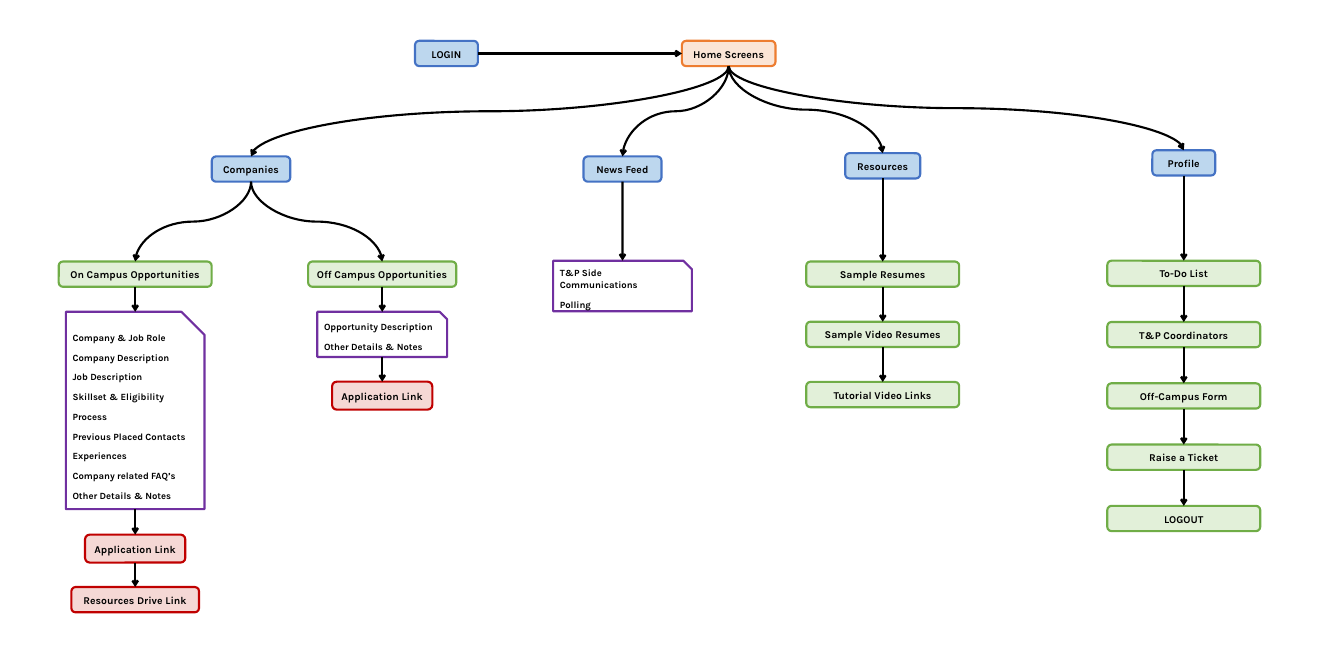
from dataclasses import dataclass

import pptx
import pptx.dml.color
import pptx.enum.shapes
import pptx.enum.text
import pptx.oxml
import pptx.oxml.ns
import pptx.util

Cm = pptx.util.Cm
Pt = pptx.util.Pt
RGBColor = pptx.dml.color.RGBColor
Preset = pptx.enum.shapes.MSO_SHAPE
ConnectorType = pptx.enum.shapes.MSO_CONNECTOR
Align = pptx.enum.text.PP_ALIGN

BLACK = RGBColor(0x00, 0x00, 0x00)
WHITE = RGBColor(0xFF, 0xFF, 0xFF)
BLUE = RGBColor(0x44, 0x72, 0xC4)
PALE_BLUE = RGBColor(0xBD, 0xD7, 0xEE)
ORANGE = RGBColor(0xED, 0x7D, 0x31)
PALE_ORANGE = RGBColor(0xFB, 0xE5, 0xD6)
GREEN = RGBColor(0x70, 0xAD, 0x47)
PALE_GREEN = RGBColor(0xE2, 0xF0, 0xD9)
RED = RGBColor(0xC0, 0x00, 0x00)
PALE_RED = RGBColor(0xF5, 0xD8, 0xD5)
PURPLE = RGBColor(0x70, 0x30, 0xA0)

FONT = "Karla"
LINE_WIDTH = Pt(2.25)
ROW_HEIGHT = 0.94
LIST_WIDTH = 5.69
TOP, LEFT, BOTTOM, RIGHT = range(4)


@dataclass(frozen=True)
class Style:
    fill: RGBColor
    outline: RGBColor
    preset: int = Preset.ROUNDED_RECTANGLE
    size: int = 11
    align: int = Align.CENTER


SCREEN = Style(PALE_BLUE, BLUE)
HOME = Style(PALE_ORANGE, ORANGE)
OPTION = Style(PALE_GREEN, GREEN)
LINK = Style(PALE_RED, RED)
DETAILS = Style(WHITE, PURPLE, Preset.SNIP_1_RECTANGLE, 10, Align.LEFT)


@dataclass(frozen=True)
class Node:
    text: str
    style: Style
    center: float
    top: float
    width: float
    height: float = ROW_HEIGHT


def write_text(frame, text: str, *, size: int, align: int, color: RGBColor = BLACK) -> None:
    frame.word_wrap = True
    frame.vertical_anchor = pptx.enum.text.MSO_ANCHOR.MIDDLE
    frame.text = text
    for paragraph in frame.paragraphs:
        paragraph.alignment = align
        paragraph.line_spacing = 1.07
        paragraph.space_after = Pt(8)
        font = paragraph.runs[0].font
        font.name, font.size, font.bold = FONT, Pt(size), True
        font.color.rgb = color


def draw_node(slide, node: Node):
    style = node.style
    box = slide.shapes.add_shape(
        style.preset, Cm(node.center - node.width / 2), Cm(node.top),
        Cm(node.width), Cm(node.height))
    box.shadow.inherit = False
    box.fill.solid()
    box.fill.fore_color.rgb = style.fill
    box.line.color.rgb = style.outline
    box.line.width = LINE_WIDTH
    write_text(box.text_frame, node.text, size=style.size, align=style.align)
    return box


def link(slide, source, target, kind: int, exit_site: int = BOTTOM, entry_site: int = TOP):
    arrow = slide.shapes.add_connector(kind, 0, 0, 0, 0)
    arrow.begin_connect(source, exit_site)
    arrow.end_connect(target, entry_site)
    arrow.line.color.rgb = BLACK
    arrow.line.width = LINE_WIDTH
    pptx.oxml.ns.qn("a:tailEnd")
    namespace = pptx.oxml.ns.nsdecls("a")
    arrow.line._get_or_add_ln().append(
        pptx.oxml.parse_xml(f'<a:tailEnd {namespace} type="arrow"/>'))
    arrow._element.spPr.append(pptx.oxml.parse_xml(f"<a:effectLst {namespace}/>"))
    return arrow


def branch(slide, parent, child) -> None:
    arrow = link(slide, parent, child, ConnectorType.CURVE)
    start_x, start_y = parent.left + parent.width // 2, parent.top + parent.height
    end_x, end_y = child.left + child.width // 2, child.top
    drop, spread = end_y - start_y, abs(end_x - start_x)
    arrow.left = (start_x + end_x - drop) // 2
    arrow.top = (start_y + end_y - spread) // 2
    arrow.width, arrow.height = drop, spread
    goes_right = end_x > start_x
    frame = arrow._element.spPr.find(pptx.oxml.ns.qn("a:xfrm"))
    frame.set("rot", str((270 if goes_right else 90) * 60000))
    frame.set("flipH", "1" if goes_right else "0")
    frame.set("flipV", "0")


def draw_chain(slide, nodes: list[Node]) -> list:
    boxes = [draw_node(slide, node) for node in nodes]
    for upper, lower in zip(boxes, boxes[1:]):
        link(slide, upper, lower, ConnectorType.STRAIGHT)
    return boxes


def option_list(labels: list[str], center: float, top: float, step: float) -> list[Node]:
    return [Node(label, OPTION, center, top + row * step, LIST_WIDTH)
            for row, label in enumerate(labels)]


COMPANY_DETAILS = "\n".join([
    "Company & Job Role", "Company Description", "Job Description",
    "Skillset & Eligibility", "Process", "Previous Placed Contacts",
    "Experiences", "Company related FAQ’s", "Other Details & Notes"])

ON_CAMPUS_X, OFF_CAMPUS_X, NEWS_X, RESOURCES_X, PROFILE_X = 5.03, 14.22, 23.16, 32.84, 44.04

ON_CAMPUS = [
    Node("On Campus Opportunities", OPTION, ON_CAMPUS_X, 9.73, LIST_WIDTH),
    Node(COMPANY_DETAILS, DETAILS, ON_CAMPUS_X, 11.6, 5.16, 7.34),
    Node("Application Link", LINK, ON_CAMPUS_X, 19.89, 3.73, 1.04),
    Node("Resources Drive Link", LINK, ON_CAMPUS_X, 21.84, 4.75),
]
OFF_CAMPUS = [
    Node("Off Campus Opportunities", OPTION, OFF_CAMPUS_X, 9.73, 5.51),
    Node("Opportunity Description\nOther Details & Notes", DETAILS,
         OFF_CAMPUS_X, 11.6, 4.83, 1.68),
    Node("Application Link", LINK, OFF_CAMPUS_X, 14.2, 3.73, 1.04),
]
NEWS_FEED = [
    Node("News Feed", SCREEN, NEWS_X, 5.82, 2.9),
    Node("T&P Side Communications\nPolling", DETAILS, NEWS_X, 9.7, 5.16, 1.88),
]
RESOURCES = [
    Node("Resources", SCREEN, RESOURCES_X, 5.7, 2.79),
    *option_list(["Sample Resumes", "Sample Video Resumes", "Tutorial Video Links"],
                 RESOURCES_X, 9.73, 2.24),
]
PROFILE = [
    Node("Profile", SCREEN, PROFILE_X, 5.59, 2.34),
    *option_list(["To-Do List", "T&P Coordinators", "Off-Campus Form",
                  "Raise a Ticket", "LOGOUT"], PROFILE_X, 9.7, 2.28),
]

presentation = pptx.Presentation()
presentation.slide_width, presentation.slide_height = Cm(50), Cm(25)
slide = presentation.slides.add_slide(presentation.slide_layouts[6])

login = draw_node(slide, Node("LOGIN", SCREEN, 16.61, 1.52, 2.34))
home = draw_node(slide, Node("Home Screens", HOME, 27.11, 1.52, 3.48))
companies = draw_node(slide, Node("Companies", SCREEN, 9.34, 5.82, 2.92))
link(slide, login, home, ConnectorType.STRAIGHT, RIGHT, LEFT)

for opportunities in (ON_CAMPUS, OFF_CAMPUS):
    branch(slide, companies, draw_chain(slide, opportunities)[0])

branch(slide, home, companies)
for section in (NEWS_FEED, RESOURCES, PROFILE):
    branch(slide, home, draw_chain(slide, section)[0])

presentation.save("out.pptx")
